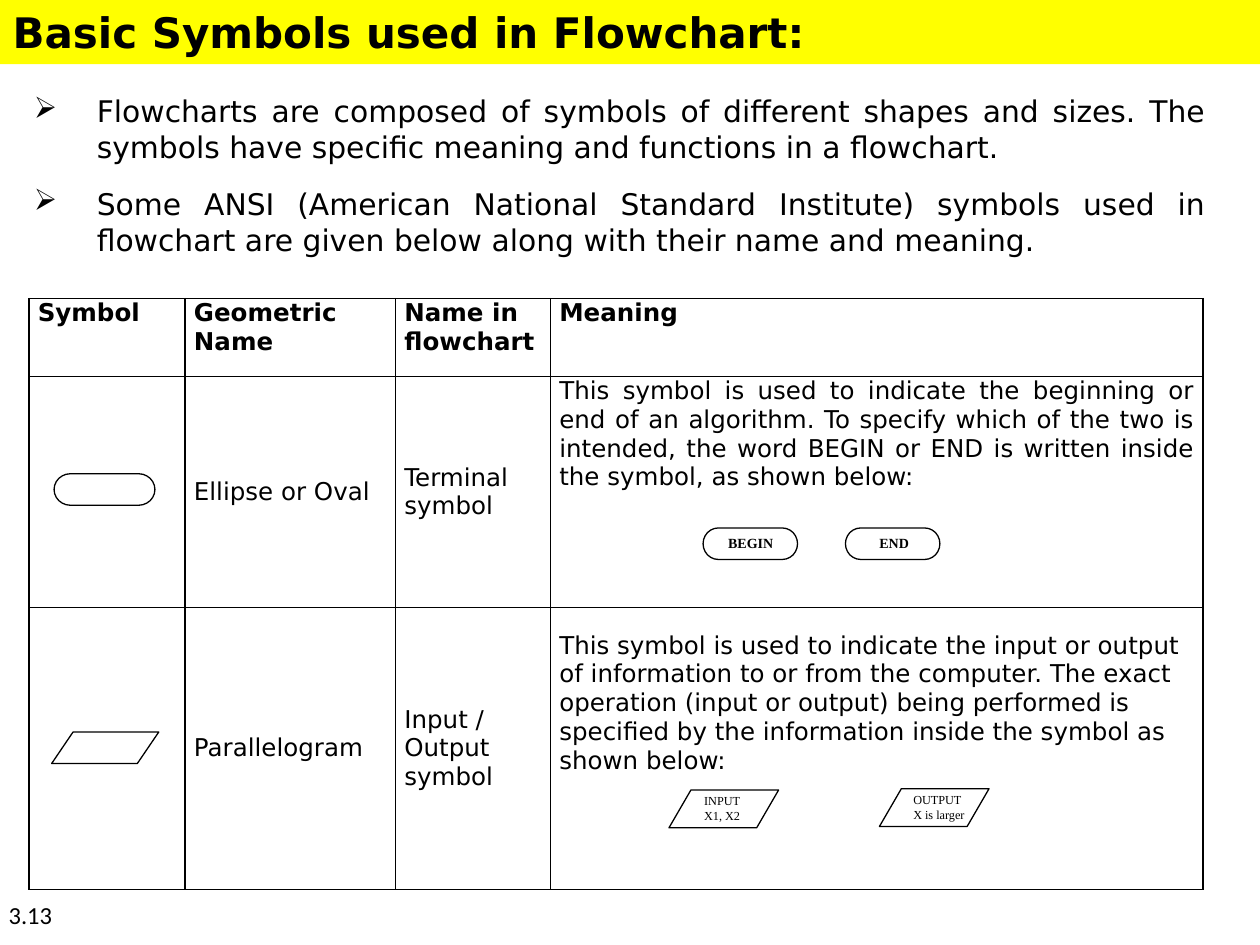
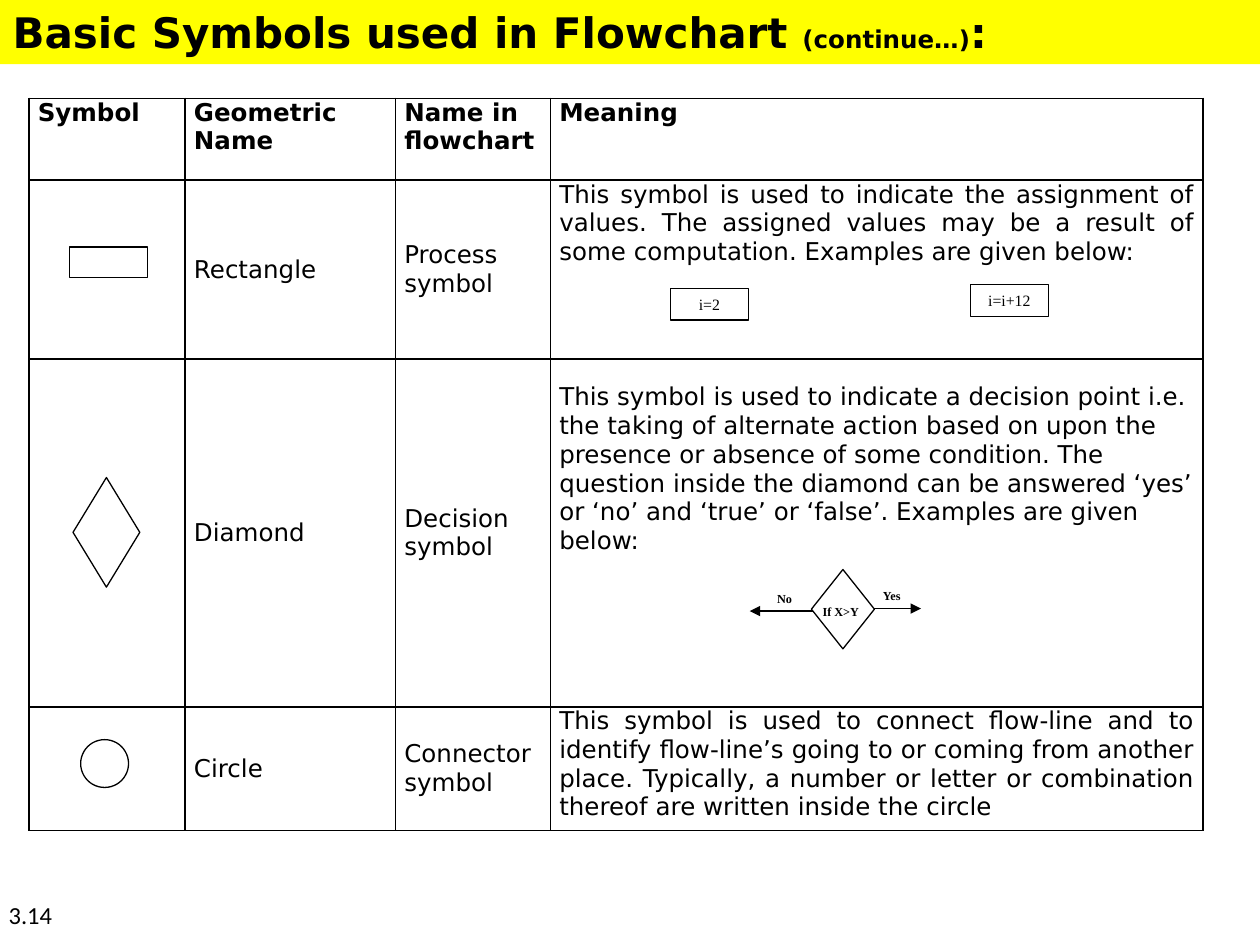
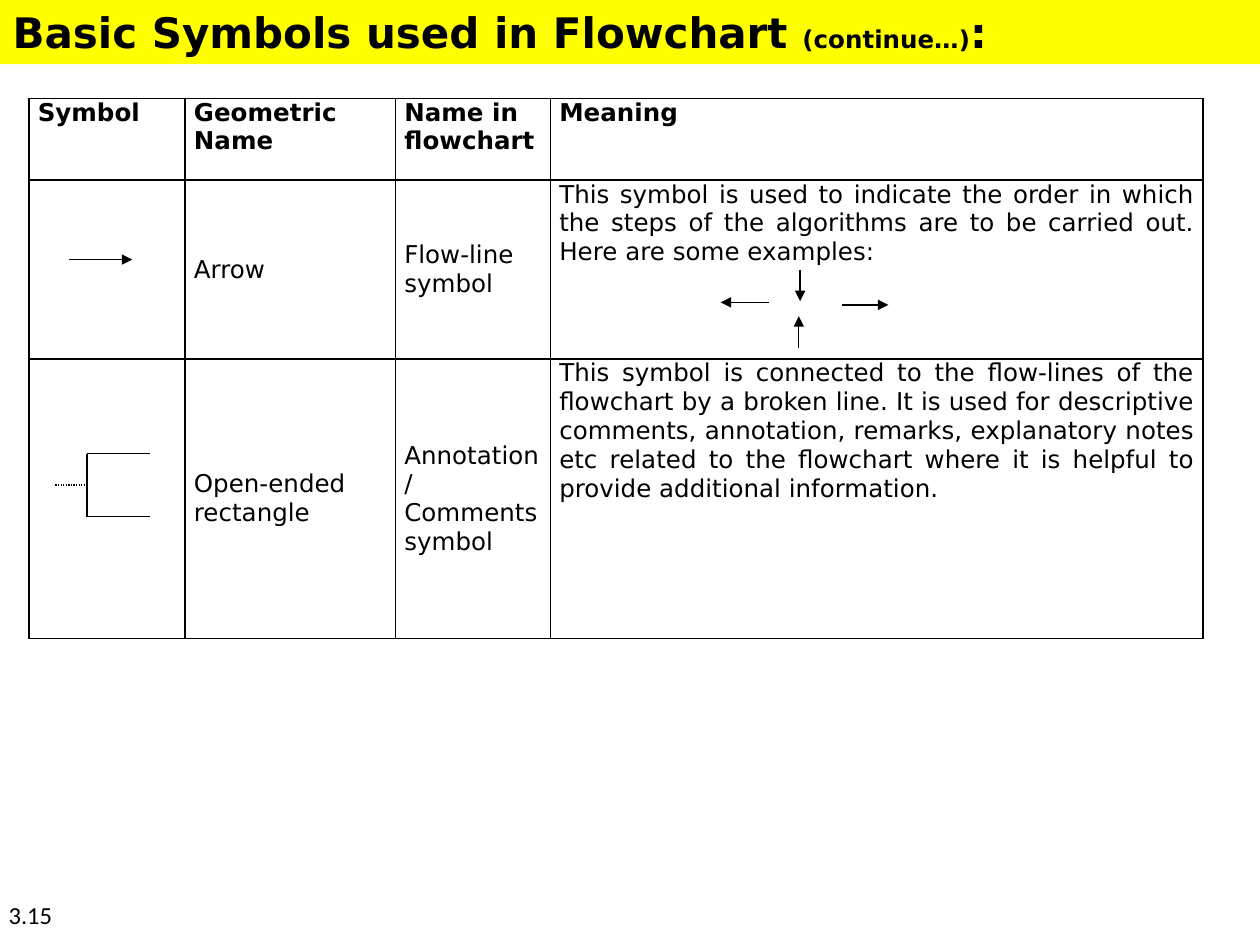
from lxml import etree
from pptx import Presentation
from pptx.dml.color import RGBColor
from pptx.enum.dml import MSO_LINE
from pptx.enum.shapes import MSO_CONNECTOR, MSO_SHAPE
from pptx.enum.text import MSO_ANCHOR, MSO_AUTO_SIZE, PP_ALIGN
from pptx.oxml.ns import qn
from pptx.util import Inches, Pt

TERMINATOR = MSO_SHAPE.FLOWCHART_TERMINATOR
INPUT_OUTPUT = MSO_SHAPE.FLOWCHART_DATA
DECISION = MSO_SHAPE.FLOWCHART_DECISION
PROCESS = MSO_SHAPE.FLOWCHART_PROCESS
CIRCLE = MSO_SHAPE.FLOWCHART_CONNECTOR
RECTANGLE = MSO_SHAPE.RECTANGLE
STRAIGHT = MSO_CONNECTOR.STRAIGHT
DOTTED = MSO_LINE.ROUND_DOT
LEFT, CENTER, JUSTIFY = PP_ALIGN.LEFT, PP_ALIGN.CENTER, PP_ALIGN.JUSTIFY
TOP, MIDDLE = MSO_ANCHOR.TOP, MSO_ANCHOR.MIDDLE

COLORS = {"ink": "000000", "paper": "FFFFFF", "band": "FFFF00"}
BODY_FONT, NUMBER_FONT, SYMBOL_FONT = "DejaVu Sans", "Calibri", "Times New Roman"
SLIDE_WIDTH, SLIDE_HEIGHT = 10, 7.5
BAND_HEIGHT = 0.51
TABLE_LEFT = 0.23
COLUMN_WIDTHS = [1.24, 1.67, 1.23, 5.18]
CELL_INSET = 0.07
LOWERED_TEXT = 0.19
LINE_WIDTH = 0.75

HEADERS = ["Symbol", "Geometric Name", "Name in flowchart", "Meaning"]
TITLE = [("Basic Symbols used in Flowchart:", 24)]
TITLE_CONTINUED = [("Basic Symbols used in Flowchart ", 24), ("(continue…)", 14), (":", 24)]

SLIDES = [
    {
        "title": TITLE,
        "number": "3.13",
        "bullets": [
            "Flowcharts are composed of symbols of different shapes and sizes. The symbols have "
            "specific meaning and functions in a flowchart.",
            "Some ANSI (American National Standard Institute) symbols used in flowchart are given "
            "below along with their name and meaning.",
        ],
        "table_top": 2.37,
        "row_heights": [0.62, 1.83, 2.24],
        "rows": [
            ("Ellipse or Oval", "Terminal\nsymbol",
             "This symbol is used to indicate the beginning or end of an algorithm. To specify "
             "which of the two is intended, the word BEGIN or END is written inside the symbol, "
             "as shown below:", JUSTIFY),
            ("Parallelogram", "Input / Output symbol",
             "This symbol is used to indicate the input or output of information to or from the "
             "computer. The exact operation (input or output) being performed is specified by "
             "the information inside the symbol as shown below:", LEFT),
        ],
        "symbols": [
            (TERMINATOR, 0.43, 3.76, 0.8, 0.25, ""),
            (TERMINATOR, 5.58, 4.19, 0.75, 0.25, ""),
            (TERMINATOR, 6.71, 4.19, 0.75, 0.25, ""),
            (INPUT_OUTPUT, 0.41, 5.81, 0.85, 0.25, ""),
            (INPUT_OUTPUT, 5.31, 6.27, 0.87, 0.3, ""),
            (INPUT_OUTPUT, 6.98, 6.26, 0.87, 0.3, ""),
        ],
        "labels": [
            ("BEGIN", 5.68, 4.19, 0.62, 0.25, 8, True),
            ("END", 6.88, 4.19, 0.62, 0.25, 8, True),
            ("INPUT\nX1, X2", 5.49, 6.25, 0.75, 0.38, 7, False),
            ("OUTPUT\nX is larger", 7.15, 6.24, 0.75, 0.38, 7, False),
        ],
    },
    {
        "title": TITLE_CONTINUED,
        "number": "3.14",
        "table_top": 0.78,
        "row_heights": [0.65, 1.42, 2.76, 0.98],
        "rows": [
            ("Rectangle", "Process symbol",
             "This symbol is used to indicate the assignment of values. The assigned values may "
             "be a result of some computation. Examples are given below:", JUSTIFY),
            ("Diamond", "Decision symbol",
             "This symbol is used to indicate a decision point i.e. the taking of alternate "
             "action based on upon the presence or absence of some condition. The question "
             "inside the diamond can be answered ‘yes’ or ‘no’ and ‘true’ or ‘false’. Examples "
             "are given below:", LEFT),
            ("Circle", "Connector symbol",
             "This symbol is used to connect flow-line and to identify flow-line’s going to or "
             "coming from another place. Typically, a number or letter or combination thereof "
             "are written inside the circle", JUSTIFY),
        ],
        "symbols": [
            (DECISION, 0.58, 3.79, 0.53, 0.87, ""),
            (DECISION, 6.44, 4.52, 0.5, 0.63, ""),
            (PROCESS, 0.55, 1.96, 0.62, 0.24, ""),
            (RECTANGLE, 5.32, 2.29, 0.62, 0.25, "i=2"),
            (RECTANGLE, 7.7, 2.26, 0.62, 0.25, "i=i+12"),
            (CIRCLE, 0.64, 5.87, 0.38, 0.38, ""),
        ],
        "labels": [
            ("If X>Y", 6.43, 4.75, 0.62, 0.25, 7, True),
            ("No", 6.07, 4.64, 0.36, 0.25, 7, True),
            ("Yes", 6.91, 4.62, 0.4, 0.25, 7, True),
        ],
        "arrows": [(6.94, 4.83, 7.31, 4.83), (6.45, 4.85, 5.95, 4.85)],
    },
    {
        "title": TITLE_CONTINUED,
        "number": "3.15",
        "table_top": 0.78,
        "row_heights": [0.65, 1.42, 2.22],
        "rows": [
            ("Arrow", "Flow-line symbol",
             "This symbol is used to indicate the order in which the steps of the algorithms "
             "are to be carried out. Here are some examples:", JUSTIFY),
            ("Open-ended rectangle", "Annotation/ Comments symbol",
             "This symbol is connected to the flow-lines of the flowchart by a broken line. It "
             "is used for descriptive comments, annotation, remarks, explanatory notes etc "
             "related to the flowchart where it is helpful to provide additional information.",
             JUSTIFY),
        ],
        "arrows": [
            (0.55, 2.06, 1.05, 2.06),
            (6.1, 2.4, 5.72, 2.4),
            (6.35, 2.14, 6.35, 2.39),
            (6.68, 2.42, 7.05, 2.42),
            (6.34, 2.76, 6.34, 2.51),
        ],
        "plain_lines": [
            (0.69, 3.6, 0.69, 4.1),
            (0.69, 4.1, 1.19, 4.1),
            (0.69, 3.6, 1.19, 3.6),
        ],
        "dotted_lines": [(0.44, 3.85, 0.69, 3.85)],
    },
]


def color(name):
    return RGBColor.from_string(COLORS[name])


def inches(*lengths):
    return [Inches(length) for length in lengths]


def style(paragraph, font_name, size, bold=False, alignment=LEFT):
    paragraph.alignment = alignment
    font = paragraph.font
    font.name, font.size, font.bold = font_name, Pt(size), bold
    font.color.rgb = color("ink")


def write(frame, text, font_name, size, bold=False, alignment=LEFT):
    frame.text = text
    for paragraph in frame.paragraphs:
        style(paragraph, font_name, size, bold, alignment)


def add_text(slide, text, box, font_name, size, bold=False):
    frame = slide.shapes.add_textbox(*inches(*box)).text_frame
    frame.word_wrap = True
    write(frame, text, font_name, size, bold)
    return frame


def set_title(slide, parts):
    title = slide.shapes.title
    title.left, title.top, title.width, title.height = inches(0, 0, SLIDE_WIDTH, BAND_HEIGHT)
    title.fill.solid()
    title.fill.fore_color.rgb = color("band")
    frame = title.text_frame
    frame.auto_size = MSO_AUTO_SIZE.NONE
    frame.vertical_anchor = MIDDLE
    paragraph = frame.paragraphs[0]
    style(paragraph, BODY_FONT, parts[0][1], True)
    for text, size in parts:
        run = paragraph.add_run()
        run.text = text
        run.font.size = Pt(size)


def add_bullets(slide, bullets):
    frame = add_text(slide, "\n".join(bullets), (0.17, 0.63, 9.5, 1.7), BODY_FONT, 17)
    frame.margin_top = Inches(0.11)
    for index, paragraph in enumerate(frame.paragraphs):
        paragraph.space_before = Pt(6 if index else 0)
        paragraph.space_after = Pt(6)
        properties = paragraph._p.get_or_add_pPr()
        properties.set("marL", str(Inches(0.5)))
        properties.set("indent", str(-Inches(0.5)))
        bullet = etree.Element(qn("a:buChar"), char="➢")
        properties.find(qn("a:defRPr")).addprevious(bullet)
        paragraph.alignment = JUSTIFY


def format_cell(cell):
    cell.margin_left = cell.margin_right = Inches(CELL_INSET)
    cell.margin_top = cell.margin_bottom = 0
    properties = cell._tc.get_or_add_tcPr()
    for side in ("lnL", "lnR", "lnT", "lnB"):
        border = etree.SubElement(properties, qn(f"a:{side}"), w=str(Pt(1)))
        fill = etree.SubElement(border, qn("a:solidFill"))
        etree.SubElement(fill, qn("a:srgbClr"), val=COLORS["ink"])
    cell.fill.background()


def add_symbol_table(slide, top, row_heights, rows):
    box = inches(TABLE_LEFT, top, sum(COLUMN_WIDTHS), sum(row_heights))
    table = slide.shapes.add_table(len(row_heights), len(COLUMN_WIDTHS), *box).table
    table.first_row = table.horz_banding = False
    for column, width in zip(table.columns, COLUMN_WIDTHS):
        column.width = Inches(width)
    for row, height in zip(table.rows, row_heights):
        row.height = Inches(height)
    for cell in table.iter_cells():
        format_cell(cell)
    for index, header in enumerate(HEADERS):
        write(table.cell(0, index).text_frame, header, BODY_FONT, 14, True)
    for index, (geometry, name, meaning, alignment) in enumerate(rows, 1):
        for column, text in ((1, geometry), (2, name)):
            cell = table.cell(index, column)
            cell.vertical_anchor = MIDDLE
            write(cell.text_frame, text, BODY_FONT, 14)
        cell = table.cell(index, 3)
        cell.margin_top = Inches(LOWERED_TEXT if alignment == LEFT else 0)
        write(cell.text_frame, meaning, BODY_FONT, 14, alignment=alignment)


def format_line(line):
    line.color.rgb = color("ink")
    line.width = Pt(LINE_WIDTH)


def add_symbol(slide, kind, left, top, width, height, text):
    shape = slide.shapes.add_shape(kind, *inches(left, top, width, height))
    shape.shadow.inherit = False
    format_line(shape.line)
    if text:
        shape.fill.background()
        shape.text_frame.vertical_anchor = TOP
        write(shape.text_frame, text, SYMBOL_FONT, 9, alignment=CENTER)
    else:
        shape.fill.solid()
        shape.fill.fore_color.rgb = color("paper")


def add_line(slide, ends, arrow=False, dash=None):
    connector = slide.shapes.add_connector(STRAIGHT, *inches(*ends))
    format_line(connector.line)
    if dash:
        connector.line.dash_style = dash
    if arrow:
        etree.SubElement(connector.line._get_or_add_ln(), qn("a:tailEnd"), type="triangle")
    etree.SubElement(connector._element.spPr, qn("a:effectLst"))


def build_slide(presentation, content):
    slide = presentation.slides.add_slide(presentation.slide_layouts[5])
    set_title(slide, content["title"])
    if "bullets" in content:
        add_bullets(slide, content["bullets"])
    add_text(slide, content["number"], (-0.03, 7.09, 0.82, 0.41), NUMBER_FONT, 14)
    add_symbol_table(slide, content["table_top"], content["row_heights"], content["rows"])
    for symbol in content.get("symbols", []):
        add_symbol(slide, *symbol)
    for text, left, top, width, height, size, bold in content.get("labels", []):
        add_text(slide, text, (left, top, width, height), SYMBOL_FONT, size, bold)
    for ends in content.get("arrows", []):
        add_line(slide, ends, arrow=True)
    for ends in content.get("plain_lines", []):
        add_line(slide, ends)
    for ends in content.get("dotted_lines", []):
        add_line(slide, ends, dash=DOTTED)


def main():
    presentation = Presentation()
    presentation.slide_width, presentation.slide_height = inches(SLIDE_WIDTH, SLIDE_HEIGHT)
    for content in SLIDES:
        build_slide(presentation, content)
    presentation.save("out.pptx")


if __name__ == "__main__":
    main()
